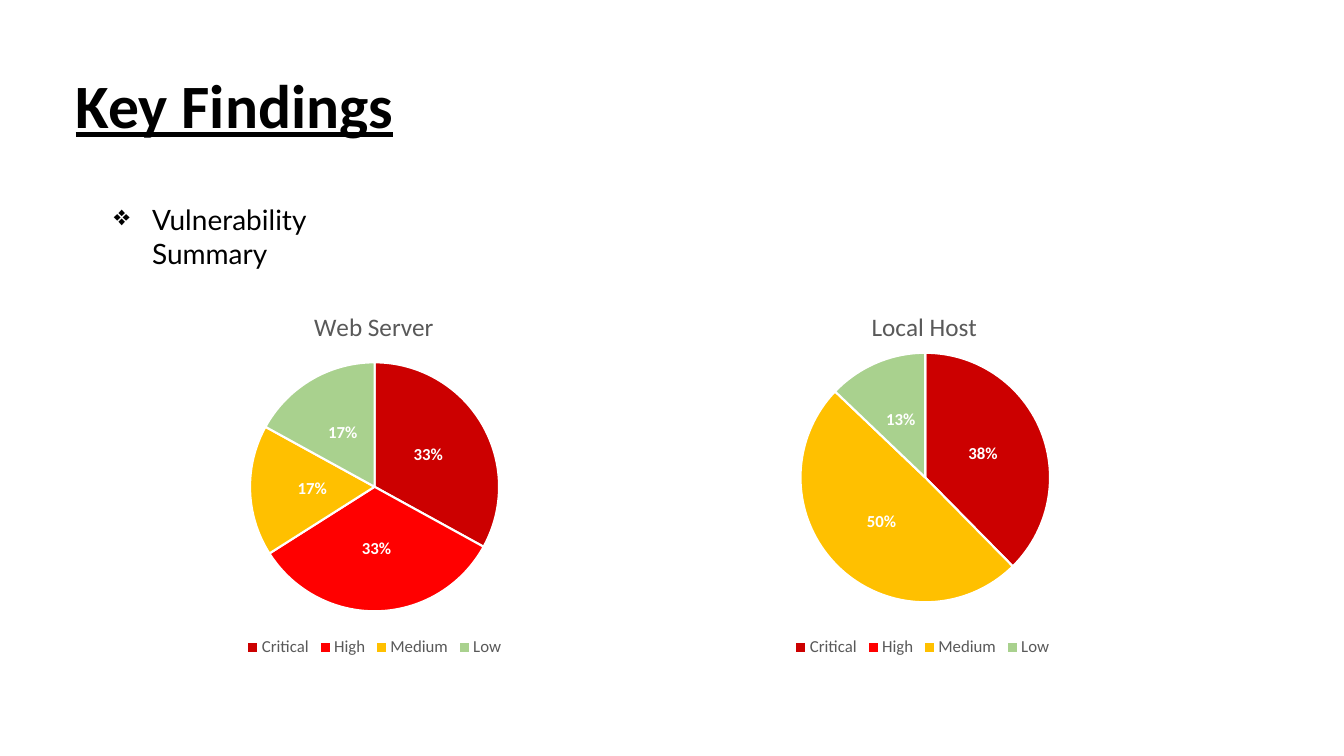
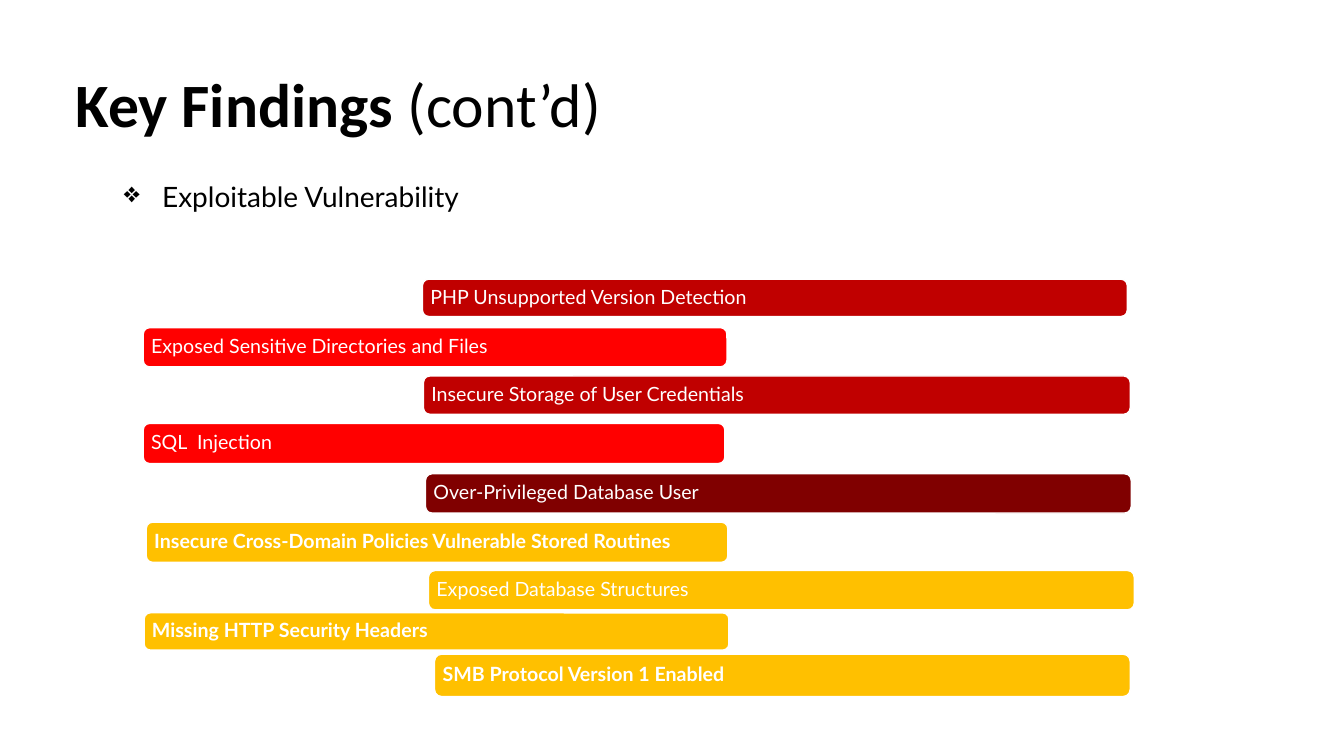
from lxml import etree
from pptx import Presentation
from pptx import util as u
from pptx.chart.data import CategoryChartData
from pptx.dml.color import RGBColor
from pptx.enum import chart as ch, shapes, text
from pptx.oxml import parse_xml
from pptx.oxml.ns import nsdecls, qn

# Shared style
BLACK, WHITE, GREY = "000000", "FFFFFF", "595959"
HEAD, BODY = "Calibri", "Lato"
DARK, CRIMSON, RED, AMBER = "800000", "C00000", "FF0000", "FFC000"

# Content: severity levels, then charts as (title, values, box, title corner, plot area);
# title corner and plot area are shares of the chart's size
LEVELS = {"Critical": "CC0000", "High": RED, "Medium": AMBER, "Low": "A9D18E"}
PIES = [
    ("Web Server", (33, 33, 17, 17), (1.03, 2.88, 5.37, 3.68),
     (0.38, 0.04), (0.27, 0.19, 0.46, 0.68)),
    ("Local Host", (38, 0, 50, 13), (6.4, 2.88, 5.5, 3.68),
     (0.4, 0.04), (0.28, 0.16, 0.45, 0.69)),
]
# Bars: text, fill, bold, (left, top, width, height)
BARS = [
    ("PHP Unsupported Version Detection", CRIMSON, False, (4.19, 2.77, 6.99, 0.37)),
    ("Exposed Sensitive Directories and Files", RED, False, (1.42, 3.25, 5.79, 0.39)),
    ("Insecure Storage of User Credentials", CRIMSON, False, (4.2, 3.73, 7.01, 0.38)),
    ("SQL  Injection", RED, False, (1.42, 4.2, 5.77, 0.4)),
    ("Over-Privileged Database User", DARK, False, (4.22, 4.7, 7, 0.39)),
    ("Insecure Cross-Domain Policies Vulnerable Stored Routines", AMBER, True,
     (1.45, 5.18, 5.77, 0.4)),
    ("Exposed Database Structures", AMBER, False, (4.25, 5.66, 7, 0.39)),
    ("Missing HTTP Security Headers", AMBER, True, (1.43, 6.08, 5.8, 0.37)),
    ("SMB Protocol Version 1 Enabled", AMBER, True, (4.31, 6.49, 6.9, 0.42)),
]


def rgb(value):
    return RGBColor.from_string(value)


def inches(box):
    return [u.Inches(v) for v in box]


def style(font, name, size, color, bold=False, underline=None):
    font.name, font.size, font.bold = name, u.Pt(size), bold
    font.underline = underline
    font.color.rgb = rgb(color)


def add_run(p, words, *look, **more):
    r = p.add_run()
    r.text = words
    style(r.font, *look, **more)


def new_slide(prs, runs, top):
    """Title-only slide; runs are (text, bold, underline)."""
    s = prs.slides.add_slide(prs.slide_layouts[5])
    title = s.shapes.title
    title.left, title.top, title.width, title.height = inches((0.65, top, 11.5, 1.45))
    tf = title.text_frame
    tf.vertical_anchor = text.MSO_ANCHOR.MIDDLE
    p = tf.paragraphs[0]
    p.alignment, p.line_spacing = text.PP_ALIGN.LEFT, 0.9
    for words, bold, underline in runs:
        add_run(p, words, HEAD, 44, BLACK, bold=bold, underline=underline)
    return s


def add_bullet(s, words, box):
    tf = s.shapes.add_textbox(*inches(box)).text_frame
    tf.word_wrap = True
    p = tf.paragraphs[0]
    add_run(p, words, BODY, 20, BLACK)
    pPr = p._p.get_or_add_pPr()
    indent = u.Inches(0.38)
    pPr.set("marL", str(indent))
    pPr.set("indent", str(-indent))
    etree.SubElement(pPr, qn("a:buChar")).set("char", "❖")


def layout_xml(values, inner=False):
    target = '<c:layoutTarget val="inner"/>' if inner else ""
    keys = "xywh"[:len(values)]
    modes = "".join(f'<c:{k}Mode val="edge"/>' for k in keys[:2])
    sizes = "".join(f'<c:{k} val="{v}"/>' for k, v in zip(keys, values))
    return parse_xml(f'<c:layout {nsdecls("c")}><c:manualLayout>{target}{modes}{sizes}'
                     '</c:manualLayout></c:layout>')


def set_layout(parent, layout, after=None):
    for old in parent.findall(qn("c:layout")):
        parent.remove(old)
    if after is None:
        parent.insert(0, layout)
    else:
        after.addnext(layout)


def add_pie(s, name, values, box, corner, plot_area):
    data = CategoryChartData()
    data.categories = list(LEVELS)
    data.add_series("Series 1", values)
    chart = s.shapes.add_chart(ch.XL_CHART_TYPE.PIE, *inches(box), data).chart
    style(chart.font, HEAD, 10, BLACK)

    # Title and legend
    chart.has_title = True
    add_run(chart.chart_title.text_frame.paragraphs[0], name, HEAD, 18, GREY)
    title = chart.chart_title._element
    set_layout(title, layout_xml(corner), title.find(qn("c:tx")))
    chart.has_legend = True
    chart.legend.position = ch.XL_LEGEND_POSITION.BOTTOM
    chart.legend.include_in_layout = False
    style(chart.legend.font, HEAD, 12, GREY)

    # Slices and labels
    plot = chart.plots[0]
    plot.vary_by_categories = True
    series = plot.series[0]
    labels = series.data_labels
    labels.show_percentage, labels.show_value = True, False
    labels.number_format, labels.number_format_is_linked = "0%", False
    labels.position = ch.XL_LABEL_POSITION.CENTER
    style(labels.font, HEAD, 12, WHITE, bold=True)
    for i, color in enumerate(LEVELS.values()):
        fmt = series.points[i].format
        fmt.fill.solid()
        fmt.fill.fore_color.rgb = rgb(color)
        fmt.line.color.rgb = rgb(WHITE)
        fmt.line.width = u.Pt(1.5)
        if not values[i]:
            labels._element.insert(0, parse_xml(
                f'<c:dLbl {nsdecls("c")}><c:idx val="{i}"/><c:delete val="1"/></c:dLbl>'))
    set_layout(chart._chartSpace.chart.plotArea, layout_xml(plot_area, inner=True))


def add_bar(s, words, fill, bold, box):
    sp = s.shapes.add_shape(shapes.MSO_SHAPE.ROUNDED_RECTANGLE, *inches(box))
    sp.shadow.inherit = False
    sp.fill.solid()
    sp.fill.fore_color.rgb = rgb(fill)
    sp.line.color.rgb = rgb(WHITE)
    sp.line.width = u.Pt(1)
    tf = sp.text_frame
    tf.word_wrap = True
    tf.vertical_anchor = text.MSO_ANCHOR.MIDDLE
    tf.margin_left = tf.margin_right = u.Inches(0.06)
    tf.margin_top = tf.margin_bottom = u.Inches(0.04)
    p = tf.paragraphs[0]
    p.alignment, p.line_spacing = text.PP_ALIGN.LEFT, 0.9
    add_run(p, words, BODY, 14, WHITE, bold=bold)


def main():
    prs = Presentation()
    prs.slide_width, prs.slide_height = inches((13.33, 7.5))

    # Vulnerability summary
    s = new_slide(prs, [("Key Findings", True, True)], 0.35)
    for pie in PIES:
        add_pie(s, *pie)
    add_bullet(s, "Vulnerability Summary", (1.03, 1.96, 3.25, 0.44))

    # Exploitable vulnerabilities
    s = new_slide(prs, [("Key Findings ", True, None), ("(cont’d)", False, None)], 0.34)
    for bar in BARS:
        add_bar(s, *bar)
    add_bullet(s, "Exploitable Vulnerability", (1.13, 1.73, 3.77, 0.77))

    prs.save("out.pptx")


if __name__ == "__main__":
    main()
